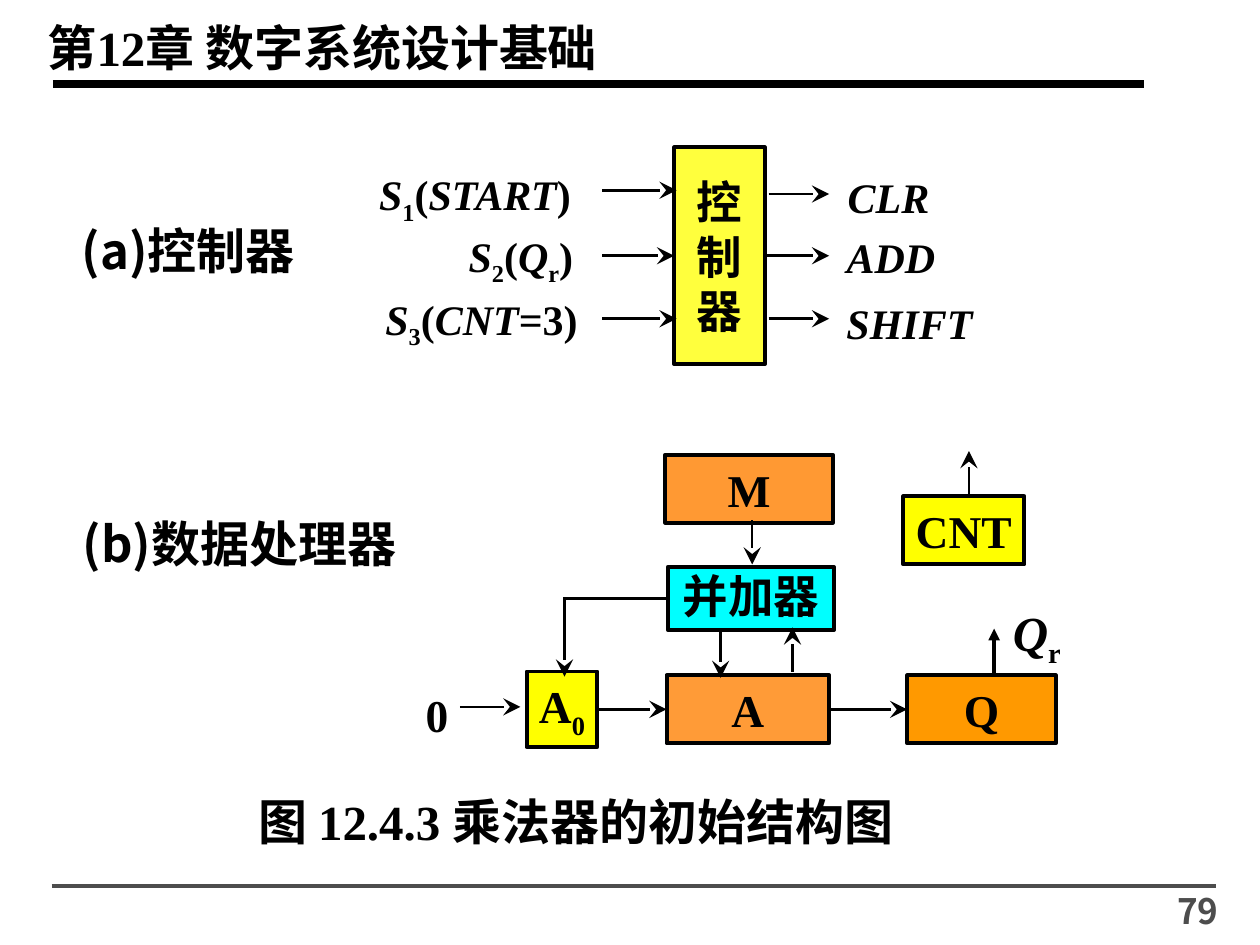
from dataclasses import dataclass
from typing import NamedTuple, Optional

from lxml.etree import SubElement
from pptx import Presentation
from pptx.dml.color import RGBColor
from pptx.enum.shapes import MSO_CONNECTOR as Line, MSO_SHAPE as Preset
from pptx.enum.text import MSO_ANCHOR as Anchor, PP_ALIGN as Align
from pptx.oxml.ns import qn
from pptx.util import Inches, Pt

COLORS = {
    "black": "000000", "gray": "4D4D4D", "yellow": "FFFF00", "cyan": "00FFFF",
    "orange": "FF9933", "deep_orange": "FF9900",
}
SERIF, SANS = "Times New Roman", "Noto Sans CJK SC"


class Span(NamedTuple):
    text: str
    italic: bool = False
    subscript: bool = False


@dataclass
class Label:
    at: tuple
    spans: list
    size: float = 24
    font: str = SERIF
    color: str = "black"
    align: Align = Align.LEFT


@dataclass
class Block:
    at: tuple
    fill: str
    spans: list
    alpha: int = 100
    margin: float = 0.1
    wrap: bool = True
    spacing: Optional[float] = None


@dataclass
class Wire:
    start: tuple
    end: tuple
    head: Optional[str] = "stealth"
    width: float = 1.5
    color: str = "black"
    source: Optional[tuple] = None
    target: Optional[tuple] = None


def rgb(name: str) -> RGBColor:
    """Return the named colour."""
    return RGBColor.from_string(COLORS[name])


def write(box, spans: list, *, size: float, font: str = SERIF, color: str = "black",
          align: Align = Align.LEFT, anchor: Anchor = Anchor.TOP, margin: float = 0.1,
          wrap: bool = True, spacing: Optional[float] = None) -> None:
    """Fill a shape with one paragraph of bold spans."""
    frame = box.text_frame
    frame.word_wrap = wrap
    frame.vertical_anchor = anchor
    frame.margin_left = frame.margin_right = Inches(margin)
    frame.margin_top = frame.margin_bottom = Inches(0.05)
    para = frame.paragraphs[0]
    para.alignment = align
    if spacing:
        para.line_spacing = spacing
    for item in spans:
        span = para.add_run()
        span.text = item.text
        span.font.size = Pt(size)
        span.font.bold = True
        span.font.italic = item.italic
        span.font.name = font
        span.font.color.rgb = rgb(color)
        properties = span._r.get_or_add_rPr()
        SubElement(properties, qn("a:ea"), typeface=SANS)
        if item.subscript:
            properties.set("baseline", "-25000")


def draw_label(page, label: Label) -> None:
    """Add a text box."""
    box = page.shapes.add_textbox(*map(Inches, label.at))
    write(box, label.spans, size=label.size, font=label.font, color=label.color, align=label.align)


def draw_block(page, block: Block):
    """Add an outlined rectangle with centred text."""
    box = page.shapes.add_shape(Preset.RECTANGLE, *map(Inches, block.at))
    box.shadow.inherit = False
    box.fill.solid()
    box.fill.fore_color.rgb = rgb(block.fill)
    if block.alpha < 100:
        color = box._element.spPr.find(qn("a:solidFill"))[0]
        SubElement(color, qn("a:alpha"), val=str(block.alpha * 1000))
    box.line.color.rgb = rgb("black")
    box.line.width = Pt(2.25)
    write(box, block.spans, size=26, align=Align.CENTER, anchor=Anchor.MIDDLE,
          margin=block.margin, wrap=block.wrap, spacing=block.spacing)
    return box


def draw_wire(page, wire: Wire, boxes: dict) -> None:
    """Add a line or arrow, joined to blocks where it meets them."""
    link = page.shapes.add_connector(Line.STRAIGHT, *map(Inches, wire.start + wire.end))
    link.line.color.rgb = rgb(wire.color)
    link.line.width = Pt(wire.width)
    if wire.head:
        size = "lg" if wire.head == "stealth" else "med"
        SubElement(link.line._get_or_add_ln(), qn("a:tailEnd"), type=wire.head, w=size, len=size)
    SubElement(link._element.spPr, qn("a:effectLst"))
    if wire.source:
        link.begin_connect(boxes[wire.source[0]], wire.source[1])
    if wire.target:
        link.end_connect(boxes[wire.target[0]], wire.target[1])


LABELS = [
    Label((0.28, 0.09, 6.24, 0.57), [Span("第12章 数字系统设计基础")], 28),
    Label((1.95, 6.23, 5.5, 0.57), [Span("图 12.4.3 乘法器的初始结构图")], 28),
    Label((0.55, 1.7, 2.27, 0.57), [Span("(a)控制器")], 28, SANS),
    Label((0.56, 4.03, 3.32, 0.57), [Span("(b)数据处理器")], 28, SANS),
    Label((6.63, 1.31, 1.16, 0.5), [Span("CLR", True)]),
    Label((6.62, 1.79, 1.19, 0.5), [Span("ADD", True)]),
    Label((6.62, 2.31, 1.77, 0.5), [Span("SHIFT", True)]),
    Label((2.91, 1.29, 2.48, 0.56), [Span("S", True), Span("1", subscript=True), Span("("),
                                     Span("START", True), Span(")")]),
    Label((3.62, 1.78, 1.91, 0.56), [Span("S", True), Span("2", subscript=True), Span("("),
                                     Span("Q", True), Span("r", subscript=True), Span(")")]),
    Label((2.96, 2.28, 2.5, 0.56), [Span("S", True), Span("3", subscript=True), Span("("),
                                    Span("CNT", True), Span("=3)")]),
    Label((7.94, 4.73, 0.95, 0.63), [Span("Q", True), Span("r", subscript=True)], 28),
    Label((3.28, 5.4, 0.33, 0.54), [Span("0")], 26),
    Label((8.38, 7.01, 1.39, 0.39), [Span("79")], 20, SANS, "gray", Align.RIGHT),
]

BLOCKS = {
    "controller": Block((5.35, 1.17, 0.72, 1.72), "yellow", [Span("控制器")], alpha=76),
    "adder": Block((5.3, 4.5, 1.32, 0.5), "cyan", [Span("并加器")], margin=0, spacing=0.9),
    "M": Block((5.28, 3.61, 1.33, 0.54), "orange", [Span("M")]),
    "A": Block((5.29, 5.36, 1.29, 0.54), "orange", [Span("A")], alpha=98),
    "Q": Block((7.2, 5.36, 1.18, 0.54), "deep_orange", [Span("Q")]),
    "CNT": Block((7.17, 3.94, 0.96, 0.54), "yellow", [Span("CNT")], wrap=False),
    "A0": Block((4.18, 5.33, 0.56, 0.6), "yellow", [Span("A"), Span("0", subscript=True)],
                wrap=False),
}

WIRES = [
    Wire((0.42, 0.67), (9.08, 0.67), None, 4.5),
    Wire((0.41, 7.03), (9.65, 7.03), None, 2, "gray"),
    Wire((4.78, 1.51), (5.37, 1.51)),
    Wire((4.78, 2.03), (5.35, 2.03), target=("controller", 1)),
    Wire((4.78, 2.53), (5.37, 2.53)),
    Wire((6.1, 1.54), (6.58, 1.54)),
    Wire((6.07, 2.03), (6.58, 2.03), source=("controller", 3)),
    Wire((6.1, 2.53), (6.58, 2.53)),
    Wire((5.97, 4.13), (5.97, 4.48)),
    Wire((5.72, 5.01), (5.72, 5.38)),
    Wire((6.29, 5.33), (6.29, 4.98)),
    Wire((3.65, 5.61), (4.13, 5.61)),
    Wire((4.74, 5.63), (5.29, 5.63), source=("A0", 3), target=("A", 1)),
    Wire((6.58, 5.63), (7.2, 5.63), source=("A", 3), target=("Q", 1)),
    Wire((7.89, 5.34), (7.89, 4.99), "triangle", 2.25),
    Wire((7.69, 3.93), (7.69, 3.58)),
    Wire((5.3, 4.75), (4.48, 4.75), None, source=("adder", 1)),
    Wire((4.48, 4.74), (4.48, 5.37)),
]


def main() -> None:
    """Build the multiplier structure slide."""
    deck = Presentation()
    deck.slide_width, deck.slide_height = Inches(10), Inches(7.5)
    page = deck.slides.add_slide(deck.slide_layouts[6])
    boxes = {name: draw_block(page, block) for name, block in BLOCKS.items()}
    for label in LABELS:
        draw_label(page, label)
    for wire in WIRES:
        draw_wire(page, wire, boxes)
    deck.save("out.pptx")


if __name__ == "__main__":
    main()
